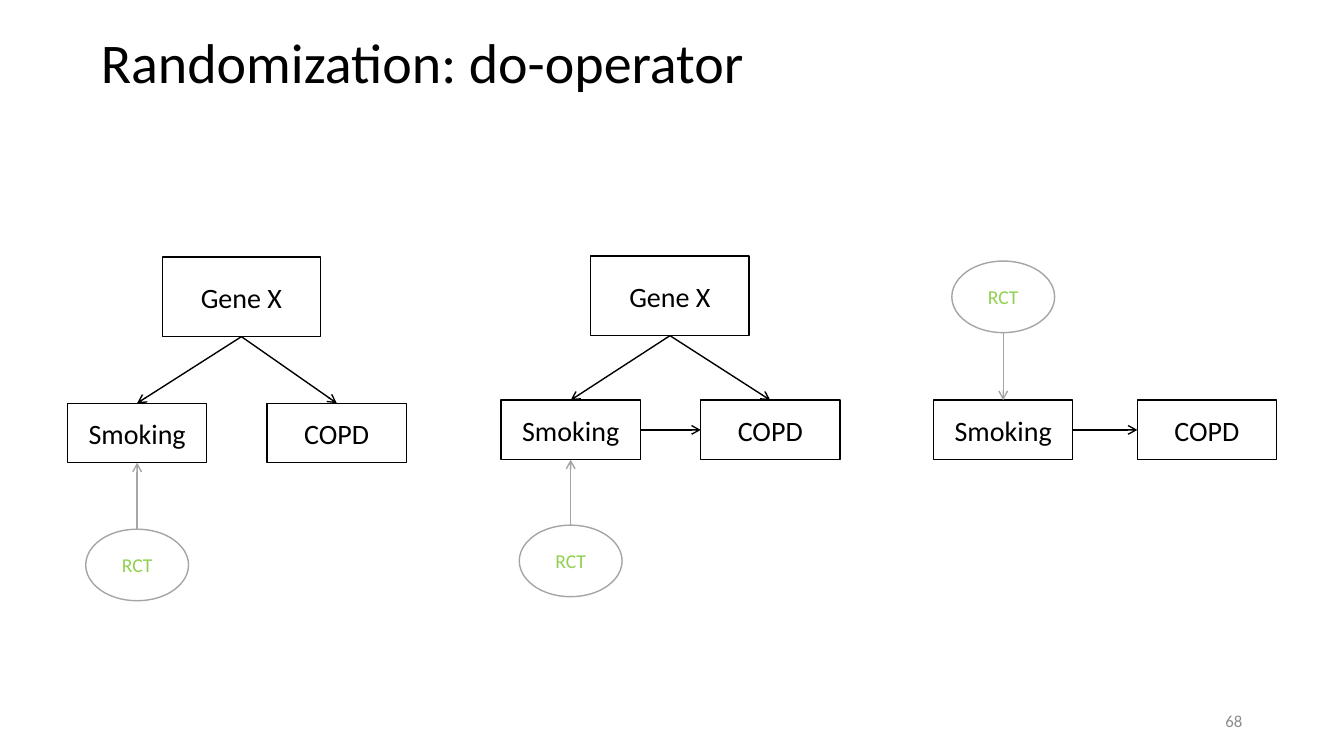
from dataclasses import dataclass

from lxml.etree import SubElement
from pptx import Presentation
from pptx.dml.color import RGBColor as Rgb
from pptx.enum.shapes import MSO_CONNECTOR as Link, MSO_SHAPE as Form
from pptx.enum.text import MSO_ANCHOR as Anchor, MSO_AUTO_SIZE as Fit, PP_ALIGN as Align
from pptx.oxml.ns import qn
from pptx.shapes.autoshape import Shape
from pptx.shapes.connector import Connector
from pptx.slide import Slide
from pptx.text.text import TextFrame
from pptx.util import Inches, Pt

TOP, LEFT, BOTTOM, RIGHT = range(4)


@dataclass(frozen=True)
class Theme:
    font: str = "Calibri"
    ink: str = "000000"
    paper: str = "FFFFFF"
    gray: str = "A5A5A5"
    green: str = "92D050"
    pale: str = "8C8C8C"
    head: int = 40
    node: int = 20
    trial: int = 14
    foot: int = 12
    line: int = 1


@dataclass(frozen=True)
class Node:
    label: str
    form: Form
    width: float
    height: float
    size: int
    color: str
    edge: str


@dataclass(frozen=True)
class Graph:
    """One causal diagram; gene is the left and top of its gene box, if any."""
    left: float
    top: float
    copd: float
    trial: float
    gene: tuple[float, float] | None
    causal: bool


THEME = Theme()
SMOKE = Node("Smoking", Form.RECTANGLE, 1.38, 0.59, THEME.node, THEME.ink, THEME.ink)
COPD = Node("COPD", Form.RECTANGLE, 1.38, 0.59, THEME.node, THEME.ink, THEME.ink)
GENE = Node("Gene X", Form.RECTANGLE, 1.57, 0.79, THEME.node, THEME.ink, THEME.ink)
TRIAL = Node("RCT", Form.OVAL, 1.02, 0.71, THEME.trial, THEME.green, THEME.gray)

GRAPHS = [
    Graph(0.67, 4, 2.65, 5.25, (1.61, 2.55), False),
    Graph(4.97, 3.97, 6.95, 5.21, (5.86, 2.54), True),
    Graph(9.26, 3.97, 11.28, 2.59, None, True),
]


def write(frame: TextFrame, text: str, size: int, color: str, align: Align) -> None:
    frame.text = text
    frame.word_wrap = True
    frame.vertical_anchor = Anchor.MIDDLE
    para = frame.paragraphs[0]
    para.alignment = align
    font = para.runs[0].font
    font.name, font.size = THEME.font, Pt(size)
    font.color.rgb = Rgb.from_string(color)


def add_node(slide: Slide, node: Node, left: float, top: float) -> Shape:
    shape = slide.shapes.add_shape(
        node.form, Inches(left), Inches(top), Inches(node.width), Inches(node.height))
    shape.shadow.inherit = False
    shape.fill.solid()
    shape.fill.fore_color.rgb = Rgb.from_string(THEME.paper)
    shape.line.color.rgb = Rgb.from_string(node.edge)
    shape.line.width = Pt(THEME.line)
    write(shape.text_frame, node.label, node.size, node.color, Align.CENTER)
    return shape


def add_arrow(slide: Slide, color: str, end: Shape, side: int,
              x: int = 0, y: int = 0) -> Connector:
    """Draw an arrow from the point x, y to the middle of a side of end."""
    arrow = slide.shapes.add_connector(Link.STRAIGHT, x, y, x, y)
    arrow.end_connect(end, side)
    arrow.line.color.rgb = Rgb.from_string(color)
    arrow.line.width = Pt(THEME.line)
    props = arrow.element.spPr
    SubElement(props.find(qn("a:ln")), qn("a:tailEnd"), type="arrow")
    SubElement(props, qn("a:effectLst"))
    return arrow


def add_graph(slide: Slide, graph: Graph) -> None:
    smoke = add_node(slide, SMOKE, graph.left, graph.top)
    copd = add_node(slide, COPD, graph.copd, graph.top)
    if graph.causal:
        add_arrow(slide, THEME.ink, copd, LEFT).begin_connect(smoke, RIGHT)
    if graph.gene:
        gene = add_node(slide, GENE, *graph.gene)
        for effect in (smoke, copd):
            add_arrow(slide, THEME.ink, effect, TOP).begin_connect(gene, BOTTOM)
    inset = (SMOKE.width - TRIAL.width) / 2
    trial = add_node(slide, TRIAL, graph.left + inset, graph.trial)
    mid = trial.left + trial.width // 2
    if graph.trial < graph.top:
        add_arrow(slide, THEME.gray, smoke, TOP, mid, trial.top + trial.height)
    else:
        add_arrow(slide, THEME.gray, smoke, BOTTOM, mid, trial.top)


def add_title(slide: Slide, text: str) -> None:
    title = slide.shapes.title
    title.left, title.top = Inches(0.9), Inches(0.38)
    title.width, title.height = Inches(11.49), Inches(0.54)
    write(title.text_frame, text, THEME.head, THEME.ink, Align.LEFT)
    title.text_frame.auto_size = Fit.NONE
    title.text_frame.paragraphs[0].line_spacing = 0.9


def add_number(slide: Slide, text: str) -> None:
    box = slide.shapes.add_textbox(Inches(9.42), Inches(6.95), Inches(3), Inches(0.4))
    write(box.text_frame, text, THEME.foot, THEME.pale, Align.RIGHT)


def main() -> None:
    deck = Presentation()
    deck.slide_width, deck.slide_height = Inches(13.33), Inches(7.5)
    slide = deck.slides.add_slide(deck.slide_layouts[5])
    add_title(slide, "Randomization: do-operator")
    for graph in GRAPHS:
        add_graph(slide, graph)
    add_number(slide, "68")
    deck.save("out.pptx")


if __name__ == "__main__":
    main()
